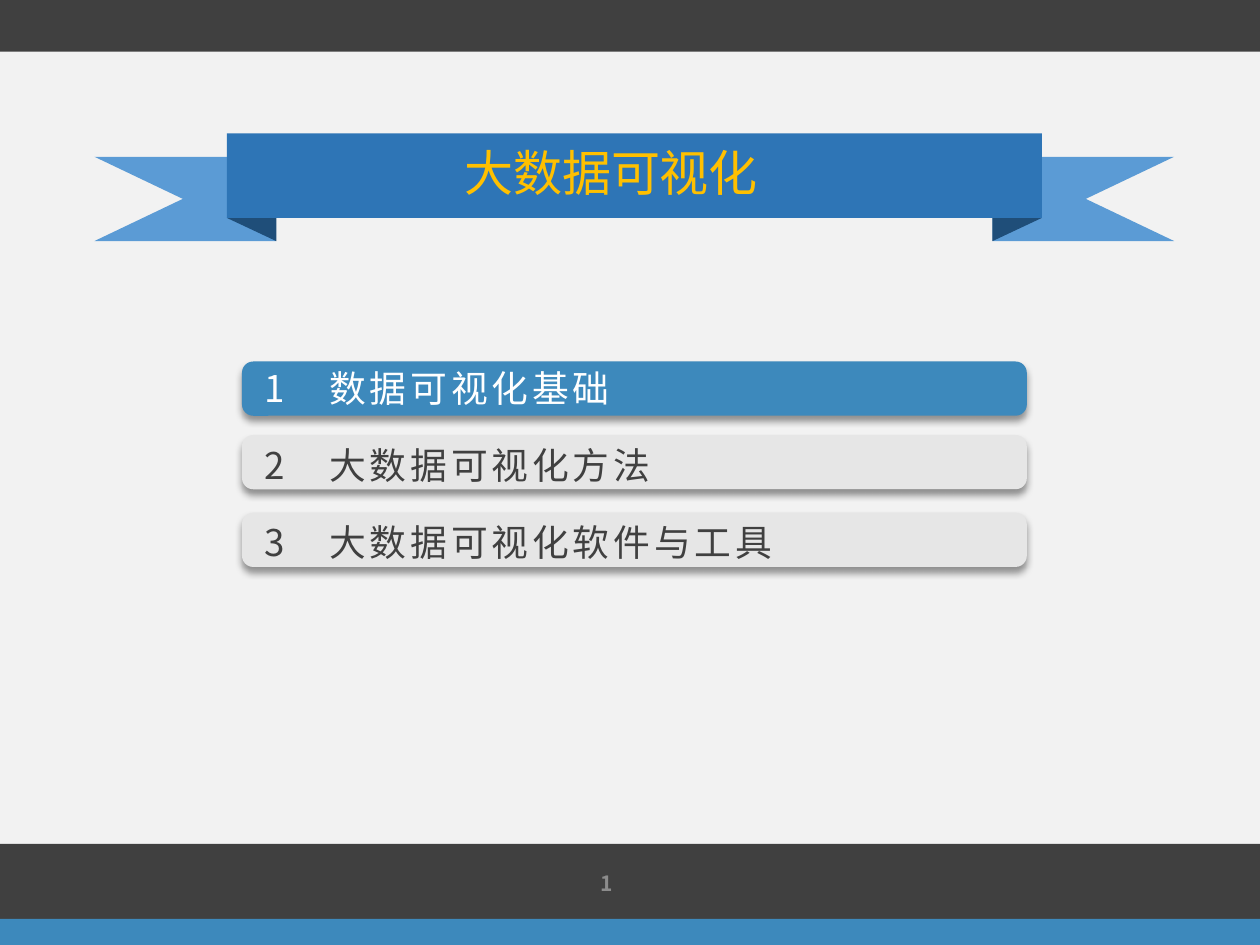
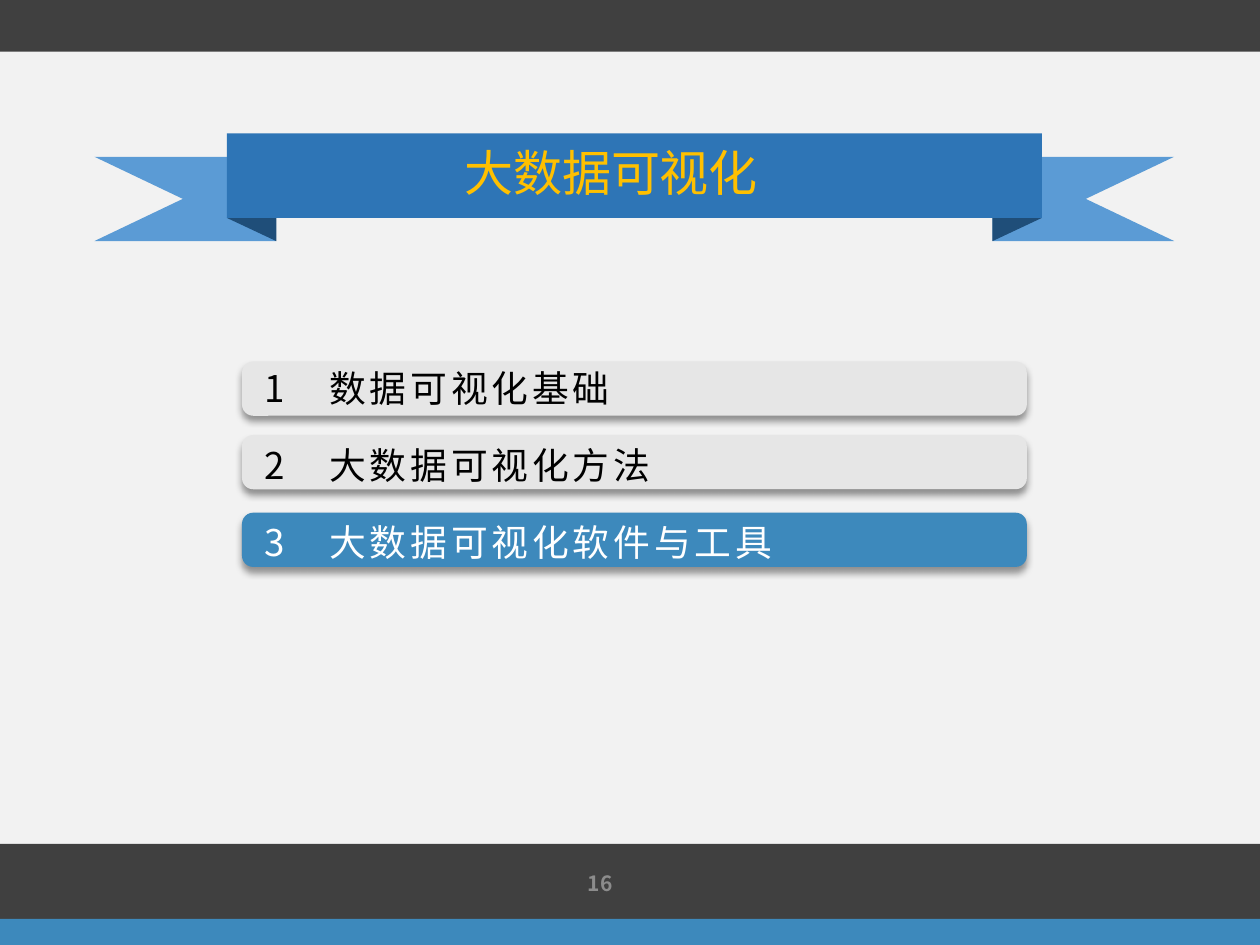
from lxml.etree import SubElement
from pptx import Presentation
from pptx.dml.color import RGBColor
from pptx.enum.shapes import MSO_SHAPE as Preset
from pptx.enum.text import MSO_ANCHOR as Anchor, MSO_AUTO_SIZE as AutoSize, PP_ALIGN as Align
from pptx.oxml.ns import qn
from pptx.util import Pt

FONT = "Noto Sans CJK SC"
DARK, BLUE, PALE = "404040", "3D89BC", "E6E6E6"
RIBBON_BAND, RIBBON_TAIL, RIBBON_FOLD = "2E75B6", "5B9BD5", "1F4E79"
GOLD, WHITE, BLACK, GREY, BACKGROUND = "FFC000", "FFFFFF", "000000", "8C8C8C", "F2F2F2"
SLIDE_WIDTH, SLIDE_HEIGHT = 720, 540
TITLE = "大数据可视化"
CHAPTERS = ["数据可视化基础", "大数据可视化方法", "大数据可视化软件与工具"]
RIBBON_BOX = (54, 76.3, 617, 61.5)
AGENDA_BOX = (138.3, 206.6, 448.5, 117.4)
BAR_OFFSETS = (0, 42, 86.4)
BAR_HEIGHT = 31
LABEL_PITCH = 44.2
LABEL_SIZE, LABEL_SPACING = 21, 2.2


def paint(fill, color):
    """Make a fill solid in a hex colour."""
    fill.solid()
    fill.fore_color.rgb = RGBColor.from_string(color)


def finish(shape, color):
    """Give a shape a flat fill without line or shadow."""
    paint(shape.fill, color)
    shape.line.fill.background()
    shape.shadow.inherit = False
    return shape


def add_block(slide, preset, box, color):
    """Add a flat preset shape."""
    return finish(slide.shapes.add_shape(preset, *map(Pt, box)), color)


def add_outline(slide, points, color):
    """Add a flat closed polygon."""
    builder = slide.shapes.build_freeform(*map(Pt, points[0]))
    builder.add_line_segments([tuple(map(Pt, point)) for point in points[1:]], close=True)
    return finish(builder.convert_to_shape(), color)


def write(shape, text, size, color, align=Align.LEFT, bold=False, spacing=0, wrap=False):
    """Write one formatted line, centred vertically in a shape."""
    frame = shape.text_frame
    frame_format = {"word_wrap": wrap, "auto_size": AutoSize.NONE, "vertical_anchor": Anchor.MIDDLE}
    for name, value in frame_format.items():
        setattr(frame, name, value)
    paragraph = frame.paragraphs[0]
    paragraph.alignment = align
    run = paragraph.add_run()
    run.text = text
    for name, value in {"name": FONT, "size": Pt(size), "bold": bold}.items():
        setattr(run.font, name, value)
    paint(run.font.fill, color)
    properties = run.font._element
    properties.find(qn("a:latin")).addnext(properties.makeelement(qn("a:ea"), {"typeface": FONT}))
    if spacing:
        properties.set("spc", str(round(spacing * 100)))


def add_drop_shadow(shape, blur=4, distance=3, opacity=40):
    """Cast a soft black shadow straight down."""
    effects = shape.element.spPr.find(qn("a:effectLst"))
    shadow = SubElement(effects, qn("a:outerShdw"), {
        "blurRad": str(Pt(blur)), "dist": str(Pt(distance)), "dir": "5400000",
        "algn": "t", "rotWithShape": "0"})
    color = SubElement(shadow, qn("a:srgbClr"), val=BLACK)
    SubElement(color, qn("a:alpha"), val=str(opacity * 1000))


def add_title_ribbon(slide, box):
    """Draw the folded ribbon and set the slide title on it."""
    left, top, width, height = box
    right, bottom = left + width, top + height
    band_height, inset, tail, notch = 48.2, 75.6, 103.7, 50.5
    fold_width, fold_height = 28.3, height - band_height
    fold_top = top + band_height
    tail_top, tail_middle = top + fold_height, bottom - band_height / 2
    for tip, direction in ((left, 1), (right, -1)):
        inner = tip + direction * tail
        add_outline(slide, [(tip, tail_top), (inner, tail_top), (inner, bottom),
                            (tip, bottom), (tip + direction * notch, tail_middle)], RIBBON_TAIL)
    left_fold = (left + inset, fold_top, fold_width, fold_height)
    add_block(slide, Preset.RIGHT_TRIANGLE, left_fold, RIBBON_FOLD).rotation = 180
    shift = (fold_width - fold_height) / 2
    right_fold = (right - inset - fold_width + shift, fold_top - shift, fold_height, fold_width)
    add_block(slide, Preset.RIGHT_TRIANGLE, right_fold, RIBBON_FOLD).rotation = 90
    add_block(slide, Preset.RECTANGLE, (left + inset, top, width - 2 * inset, band_height), RIBBON_BAND)
    title = slide.shapes.title
    place = {"left": left + 203, "top": top + 1.5, "width": 184.3, "height": 41}
    for name, value in place.items():
        setattr(title, name, Pt(value))
    write(title, TITLE, 28, GOLD, Align.CENTER)
    title.element.getparent().append(title.element)


def add_agenda(slide, box, current, idle_color):
    """List the chapters on rounded bars and highlight the current one."""
    left, top, width, _ = box
    for index, (chapter, offset) in enumerate(zip(CHAPTERS, BAR_OFFSETS)):
        active = index == current
        bar = add_block(slide, Preset.ROUNDED_RECTANGLE, (left, top + offset, width, BAR_HEIGHT),
                        BLUE if active else PALE)
        bar.adjustments[0] = 0.207
        add_drop_shadow(bar)
        label_width = 55.2 + len(chapter) * (LABEL_SIZE + LABEL_SPACING)
        label_box = (left + 5.7, top - 1.4 + index * LABEL_PITCH, label_width, 32.4)
        label = slide.shapes.add_textbox(*map(Pt, label_box))
        write(label, f"{index + 1}　{chapter}", LABEL_SIZE, WHITE if active else idle_color,
              spacing=LABEL_SPACING)


def add_frame(slide, number):
    """Draw the top and bottom bands and the page number."""
    bands = [((-0.7, -0.7, SLIDE_WIDTH + 1.4, 30.2), DARK),
             ((0, 482.2, SLIDE_WIDTH, 43.2), DARK),
             ((0, 525, SLIDE_WIDTH, 15), BLUE)]
    for box, color in bands:
        add_block(slide, Preset.RECTANGLE, box, color)
    page = slide.shapes.add_textbox(*map(Pt, (189.4, 490, 167.8, 28.8)))
    write(page, str(number), 12, GREY, Align.RIGHT, bold=True, wrap=True)


def add_agenda_slide(presentation, number, current, idle_color):
    """Build one agenda slide."""
    slide = presentation.slides.add_slide(presentation.slide_layouts.get_by_name("Title Only"))
    add_title_ribbon(slide, RIBBON_BOX)
    add_agenda(slide, AGENDA_BOX, current, idle_color)
    add_frame(slide, number)


def main():
    """Build and save the presentation."""
    presentation = Presentation()
    presentation.slide_width, presentation.slide_height = Pt(SLIDE_WIDTH), Pt(SLIDE_HEIGHT)
    paint(presentation.slide_master.background.fill, BACKGROUND)
    add_agenda_slide(presentation, 1, 0, DARK)
    add_agenda_slide(presentation, 16, 2, BLACK)
    presentation.save("out.pptx")


if __name__ == "__main__":
    main()
